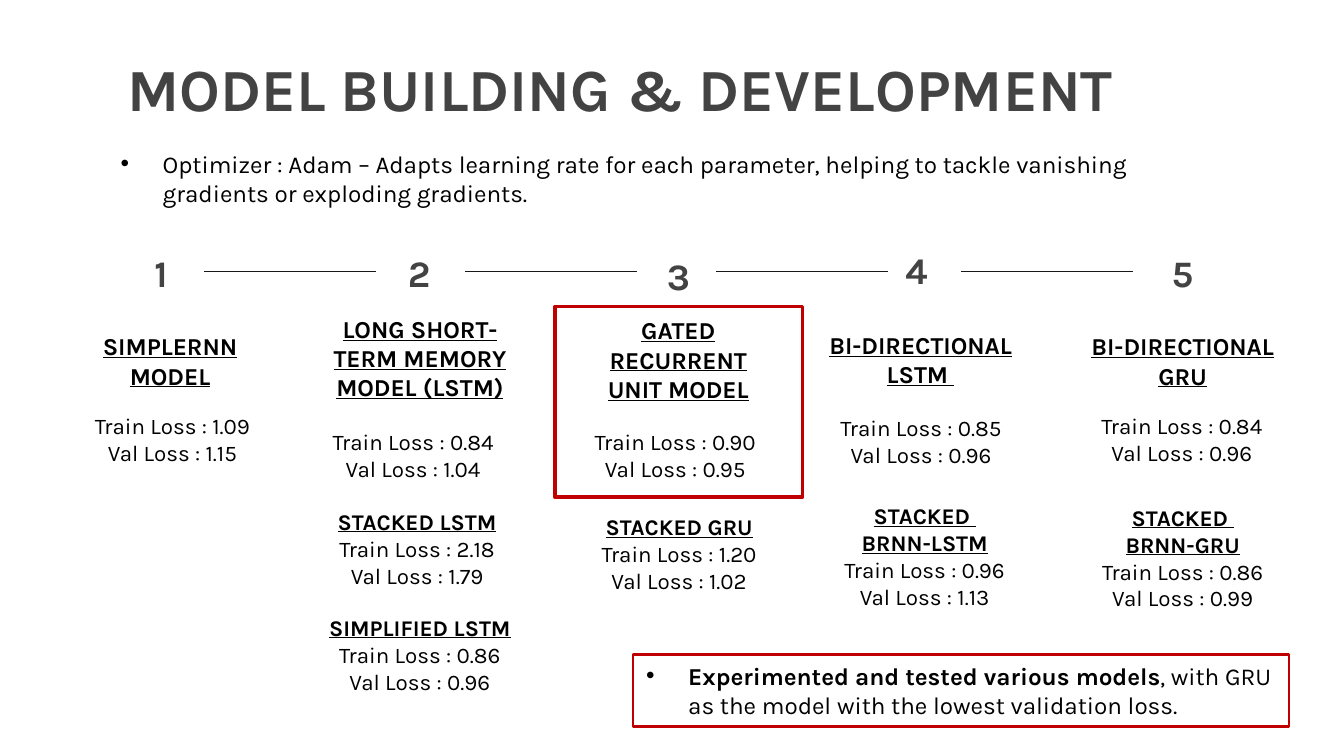
import pptx
import pptx.dml.color
import pptx.enum.shapes
import pptx.enum.text
import pptx.oxml.ns
import pptx.util
from lxml import etree

Pt = pptx.util.Pt
ALIGN = pptx.enum.text.PP_ALIGN
ANCHOR = pptx.enum.text.MSO_ANCHOR
FONT = "Karla"
COLORS = {"heading": "434343", "text": "000000", "rule": "181818", "accent": "C00000"}

# Number, left, top
STEPS = [("1", 62.6, 126.7), ("2", 200.9, 126.7), ("3", 339.8, 128.2),
         ("4", 467.3, 125.3), ("5", 609.8, 126.7)]
RULE_LEFTS = [109.4, 249.1, 383.8, 514.8]
RULE_TOP, RULE_WIDTH = 145.4, 92

# Left, top, width, height, heading lines
MODELS = [
    (31, 174.2, 120.2, 38.9, ["SIMPLERNN", "MODEL"]),
    (163.4, 164.9, 123.1, 54.7, ["LONG SHORT-TERM MEMORY MODEL (LSTM)"]),
    (311.8, 165.6, 103, 54.7, ["GATED RECURRENT UNIT MODEL"]),
    (429.8, 173.5, 126.7, 38.9, ["BI-DIRECTIONAL", "LSTM "]),
    (570.2, 174.2, 126.7, 38.9, ["BI-DIRECTIONAL", "GRU"]),
]

# Left, top, width, height, heading lines, train loss, validation loss
RESULTS = [
    (32.4, 217.4, 120.2, 36, [], "1.09", "1.15"),
    (161.3, 226.1, 120.2, 36, [], "0.84", "1.04"),
    (301.7, 226.1, 120.2, 36, [], "0.90", "0.95"),
    (433.4, 218.2, 120.2, 36, [], "0.85", "0.96"),
    (573.1, 217.4, 120.2, 36, [], "0.84", "0.96"),
    (163.4, 268.6, 120.2, 51.1, ["STACKED LSTM"], "2.18", "1.79"),
    (164.9, 325.4, 120.2, 51.1, ["SIMPLIFIED LSTM"], "0.86", "0.96"),
    (303.8, 271.4, 120.2, 51.1, ["STACKED GRU"], "1.20", "1.02"),
    (420.5, 265.7, 149.8, 65.5, ["STACKED ", "BRNN-LSTM"], "0.96", "1.13"),
    (558.7, 266.4, 149.8, 65.5, ["STACKED ", "BRNN-GRU"], "0.86", "0.99"),
]


def rgb(name):
    return pptx.dml.color.RGBColor.from_string(COLORS[name])


def add_box(slide, left, top, width, height, inset=3.6, anchor=ANCHOR.TOP):
    box = slide.shapes.add_textbox(Pt(left), Pt(top), Pt(width), Pt(height))
    set_frame(box, inset, anchor)
    return box


def set_frame(box, inset=3.6, anchor=ANCHOR.TOP):
    frame = box.text_frame
    frame.word_wrap = True
    frame.vertical_anchor = anchor
    frame.margin_left = frame.margin_right = Pt(7.2)
    frame.margin_top = frame.margin_bottom = Pt(inset)


def add_para(box, align=ALIGN.CENTER, bullet=False):
    """Return the box's empty first paragraph, or a new one after its text."""
    frame = box.text_frame
    para = frame.paragraphs[0]
    if para.runs:
        para = frame.add_paragraph()
    para.alignment = align
    if bullet:
        props = para._p.get_or_add_pPr()
        props.set("marL", str(Pt(22.5)))
        props.set("indent", str(-Pt(22.5)))
        color = etree.SubElement(props, pptx.oxml.ns.qn("a:buClr"))
        etree.SubElement(color, pptx.oxml.ns.qn("a:srgbClr"), val=COLORS["text"])
        etree.SubElement(props, pptx.oxml.ns.qn("a:buFont"), typeface="Arial")
        etree.SubElement(props, pptx.oxml.ns.qn("a:buChar"), char="•")
    return para


def add_text(para, text, size=13, color="text", bold=False, underline=False):
    span = para.add_run()
    span.text = text
    span.font.name = FONT
    span.font.size = Pt(size)
    span.font.bold = bold
    span.font.underline = underline
    span.font.color.rgb = rgb(color)


def add_rule(slide, left):
    rule = slide.shapes.add_connector(
        pptx.enum.shapes.MSO_CONNECTOR.STRAIGHT,
        Pt(left), Pt(RULE_TOP), Pt(left + RULE_WIDTH), Pt(RULE_TOP))
    rule.line.color.rgb = rgb("rule")
    rule.line.width = Pt(0.75)
    etree.SubElement(rule._element.spPr, pptx.oxml.ns.qn("a:effectLst"))


def add_frame(slide, left, top, width, height, weight):
    """Add an unfilled rectangle with an accent outline."""
    shape = slide.shapes.add_shape(
        pptx.enum.shapes.MSO_SHAPE.RECTANGLE,
        Pt(left), Pt(top), Pt(width), Pt(height))
    shape.shadow.inherit = False
    shape.fill.background()
    shape.line.color.rgb = rgb("accent")
    shape.line.width = Pt(weight)
    return shape


def add_headings(box, headings, size):
    for heading in headings:
        add_text(add_para(box), heading, size=size, bold=True, underline=True)


def add_result(slide, left, top, width, height, headings, train, val):
    box = add_box(slide, left, top, width, height)
    add_headings(box, headings, 12)
    for label, loss in (("Train", train), ("Val", val)):
        add_text(add_para(box), f"{label} Loss : {loss}", size=12)


def main():
    deck = pptx.Presentation()
    deck.slide_width, deck.slide_height = Pt(720), Pt(405)
    slide = deck.slides.add_slide(deck.slide_layouts[6])

    title = add_box(slide, 61.2, 14.4, 576, 59, inset=7.2, anchor=ANCHOR.BOTTOM)
    add_text(add_para(title, ALIGN.LEFT), "MODEL BUILDING & DEVELOPMENT",
             size=32, color="heading", bold=True)

    optimizer = add_box(slide, 57.6, 76.3, 564.5, 38.9)
    add_text(add_para(optimizer, ALIGN.LEFT, bullet=True),
             "Optimizer : Adam – Adapts learning rate for each parameter, "
             "helping to tackle vanishing gradients or exploding gradients.")

    for number, left, top in STEPS:
        box = add_box(slide, left, top, 47.5, 25.2, inset=7.2)
        add_text(add_para(box), number, size=20, color="heading", bold=True)
    for left in RULE_LEFTS:
        add_rule(slide, left)

    for left, top, width, height, headings in MODELS:
        add_headings(add_box(slide, left, top, width, height), headings, 13)
    for result in RESULTS:
        add_result(slide, *result)

    add_frame(slide, 297.4, 164.2, 132.5, 102.2, weight=2)
    conclusion = add_frame(slide, 339.1, 350.6, 351.4, 38.9, weight=1.5)
    set_frame(conclusion)
    para = add_para(conclusion, ALIGN.LEFT, bullet=True)
    add_text(para, "Experimented and tested various models", bold=True)
    add_text(para, ", with GRU as the model with the lowest validation loss.")

    deck.save("out.pptx")


if __name__ == "__main__":
    main()
